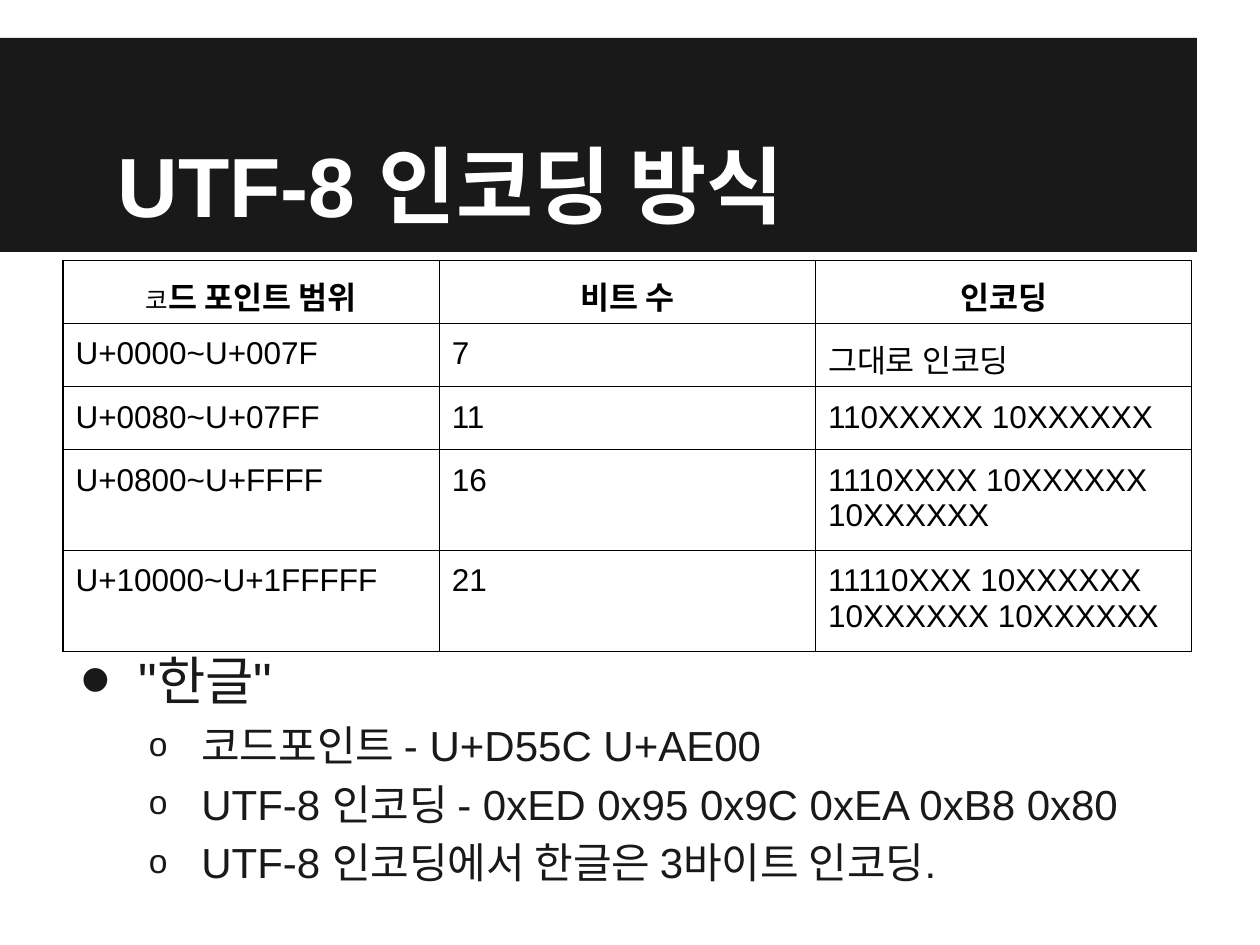
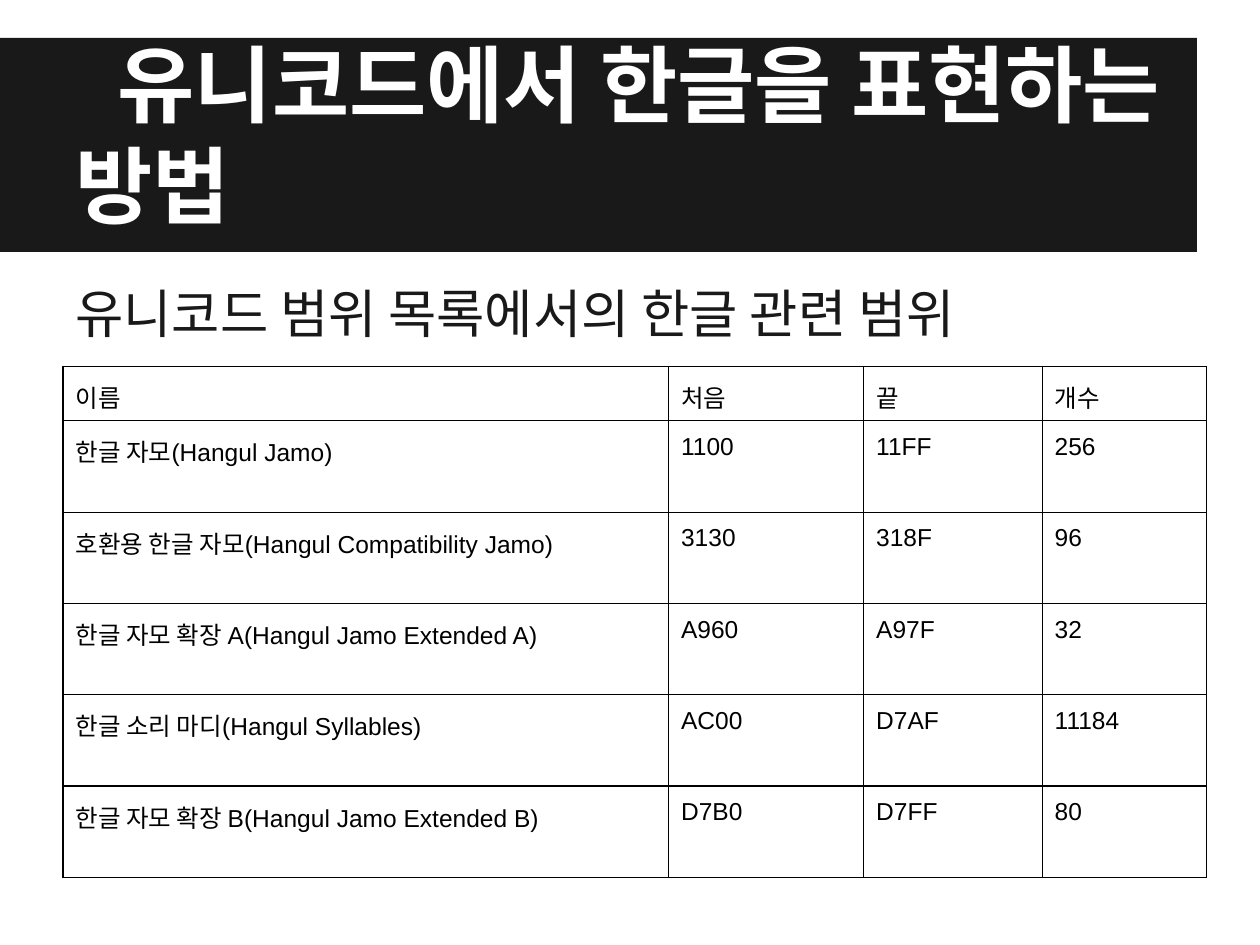
from lxml.etree import SubElement
from pptx import Presentation
from pptx.dml.color import RGBColor
from pptx.enum.shapes import MSO_SHAPE as Shape
from pptx.enum.text import MSO_ANCHOR as Anchor, MSO_AUTO_SIZE as AutoSize, PP_ALIGN as Align
from pptx.oxml import parse_xml
from pptx.oxml.ns import nsdecls, qn
from pptx.util import Pt

INK = RGBColor(0x19, 0x19, 0x19)
WHITE = RGBColor(0xFF, 0xFF, 0xFF)
BLACK = RGBColor(0x00, 0x00, 0x00)
FONT = "Arial"
LEFT, INSET, BODY_WIDTH, BODY_BOTTOM = 36, 7.2, 648, 517

STYLES = {
    "plain": dict(size=30, before=6, margin=27, indent=-27, bullet=None),
    "topic": dict(size=30, before=6, margin=36, indent=-33, bullet=("•", 167)),
    "detail": dict(size=24, before=4.8, margin=72, indent=-30, bullet=("o", 80)),
}

SLIDES = [
    dict(
        title="UTF-8 인코딩 방식",
        body_top=363,
        body=[
            ("topic", "\"한글\""),
            ("detail", "코드포인트 - U+D55C U+AE00"),
            ("detail", "UTF-8 인코딩 - 0xED 0x95 0x9C 0xEA 0xB8 0x80"),
            ("detail", "UTF-8 인코딩에서 한글은 3바이트 인코딩."),
        ],
        table_top=149, text_size=18, bold_header=True,
        widths=[215, 215, 215],
        heights=[36, 36, 36, 57.5, 57.5],
        rows=[
            (("코", "드 포인트 범위"), "비트 수", "인코딩"),
            ("U+0000~U+007F", "7", "그대로 인코딩"),
            ("U+0080~U+07FF", "11", "110XXXXX 10XXXXXX"),
            ("U+0800~U+FFFF", "16", "1110XXXX 10XXXXXX 10XXXXXX"),
            ("U+10000~U+1FFFFF", "21", "11110XXX 10XXXXXX 10XXXXXX 10XXXXXX"),
        ],
    ),
    dict(
        title="유니코드에서 한글을 표현하는 방법",
        body_top=153.5,
        body=[("plain", "유니코드 범위 목록에서의 한글 관련 범위")],
        table_top=209.2, text_size=14, bold_header=False,
        widths=[346, 111.5, 102, 94],
        heights=[31] + [52.2] * 5,
        rows=[
            ("이름", "처음", "끝", "개수"),
            ("한글 자모(Hangul Jamo)", "1100", "11FF", "256"),
            ("호환용 한글 자모(Hangul Compatibility Jamo)", "3130", "318F", "96"),
            ("한글 자모 확장 A(Hangul Jamo Extended A)", "A960", "A97F", "32"),
            ("한글 소리 마디(Hangul Syllables)", "AC00", "D7AF", "11184"),
            ("한글 자모 확장 B(Hangul Jamo Extended B)", "D7B0", "D7FF", "80"),
        ],
    ),
]


def style_run(run, size, color, bold=False):
    """Set the font of one run."""
    font = run.font
    font.name, font.size, font.bold = FONT, Pt(size), bold
    font.color.rgb = color


def set_insets(target):
    """Give a text frame or table cell the common inset on all sides."""
    target.margin_left = target.margin_right = Pt(INSET)
    target.margin_top = target.margin_bottom = Pt(INSET)


def indent(paragraph, margin, first):
    """Set the left margin and first-line indent of a paragraph."""
    properties = paragraph._p.get_or_add_pPr()
    properties.set("marL", str(int(Pt(margin))))
    properties.set("indent", str(int(Pt(first))))
    return properties


def add_heading(slide, text):
    """Place the dark band behind the formatted title placeholder."""
    band = slide.shapes.add_shape(Shape.RECTANGLE, 0, Pt(21.6), Pt(684), Pt(122.4))
    band.shadow.inherit = False
    band.fill.solid()
    band.fill.fore_color.rgb = INK
    band.line.fill.background()
    title = slide.shapes.title
    title.element.addprevious(band.element)
    title.left, title.top, title.width, title.height = Pt(LEFT), Pt(21.6), Pt(BODY_WIDTH), Pt(119.5)
    frame = title.text_frame
    frame.text = text
    frame.auto_size, frame.word_wrap = AutoSize.NONE, True
    frame.vertical_anchor = Anchor.BOTTOM
    set_insets(frame)
    heading = frame.paragraphs[0]
    heading.alignment = Align.LEFT
    indent(heading, 0, 24)
    style_run(heading.runs[0], 48, WHITE, True)


def add_body(slide, top, lines):
    """Write the body lines, each in its named style."""
    frame = slide.shapes.add_textbox(
        Pt(LEFT), Pt(top), Pt(BODY_WIDTH), Pt(BODY_BOTTOM - top)).text_frame
    frame.word_wrap = True
    set_insets(frame)
    frame.text = "\n".join(text for _, text in lines)
    for paragraph, (name, _) in zip(frame.paragraphs, lines):
        style = STYLES[name]
        paragraph.level = int(name == "detail")
        paragraph.space_before = Pt(style["before"])
        style_run(paragraph.runs[0], style["size"], INK)
        properties = indent(paragraph, style["margin"], style["indent"])
        if style["bullet"]:
            mark, percent = style["bullet"]
            color = SubElement(properties, qn("a:buClr"))
            SubElement(color, qn("a:srgbClr"), val=str(INK))
            SubElement(properties, qn("a:buSzPct"), val=str(percent * 1000))
            SubElement(properties, qn("a:buFont"), typeface=FONT)
            SubElement(properties, qn("a:buChar"), char=mark)


def add_borders(cell):
    """Draw a thin black line on every side of a cell."""
    properties = cell._tc.get_or_add_tcPr()
    for place, side in enumerate("LRTB"):
        properties.insert(place, parse_xml(
            f'<a:ln{side} {nsdecls("a")} w="{int(Pt(0.75))}"><a:solidFill>'
            f'<a:srgbClr val="{BLACK}"/></a:solidFill></a:ln{side}>'))


def fill_cell(cell, content, size, header):
    """Write one cell; a pair starts with a small light part."""
    cell.fill.background()
    set_insets(cell)
    add_borders(cell)
    paragraph = cell.text_frame.paragraphs[0]
    paragraph.alignment = Align.CENTER if header else Align.LEFT
    parts = content if isinstance(content, tuple) else (content,)
    for part in parts:
        run = paragraph.add_run()
        run.text = part
        style_run(run, size, BLACK, header)
    if len(parts) > 1:
        style_run(paragraph.runs[0], 14, BLACK)


def add_grid(slide, content):
    """Build the bordered table of a slide."""
    rows, widths, heights = content["rows"], content["widths"], content["heights"]
    table = slide.shapes.add_table(
        len(rows), len(widths), Pt(LEFT), Pt(content["table_top"]),
        Pt(sum(widths)), Pt(sum(heights))).table
    table.first_row = table.horz_banding = False
    for column, width in zip(table.columns, widths):
        column.width = Pt(width)
    for index, (row, height, texts) in enumerate(zip(table.rows, heights, rows)):
        row.height = Pt(height)
        header = index == 0 and content["bold_header"]
        for cell, text in zip(row.cells, texts):
            fill_cell(cell, text, content["text_size"], header)


def main():
    """Build and save the presentation."""
    deck = Presentation()
    deck.slide_width, deck.slide_height = Pt(720), Pt(540)
    for content in SLIDES:
        slide = deck.slides.add_slide(deck.slide_layouts[5])
        add_heading(slide, content["title"])
        add_body(slide, content["body_top"], content["body"])
        add_grid(slide, content)
    deck.save("out.pptx")


if __name__ == "__main__":
    main()
